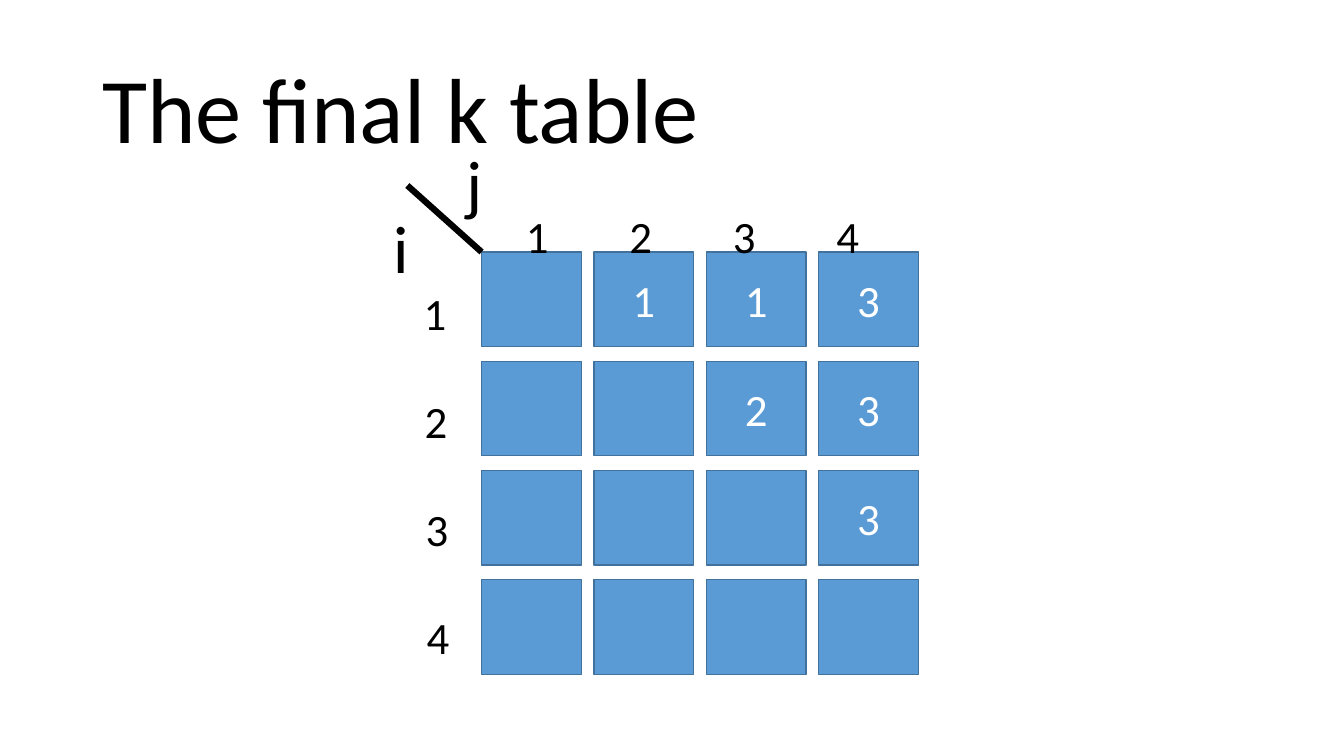
import pptx
import pptx.dml.color
import pptx.enum.shapes
import pptx.enum.text
import pptx.util
from lxml import etree

Pt = pptx.util.Pt
RGB = pptx.dml.color.RGBColor.from_string
ALIGN = pptx.enum.text.PP_ALIGN
ANCHOR = pptx.enum.text.MSO_ANCHOR

THEME = {
    "font": "Calibri",
    "ink": RGB("000000"),
    "cell": RGB("5B9BD5"),
    "edge": RGB("42719B"),
    "cell_text": RGB("FFFFFF"),
    "title": Pt(66),
    "axis": Pt(48),
    "number": Pt(32),
}

prs = pptx.Presentation()
prs.slide_width, prs.slide_height = Pt(960), Pt(540)
s = prs.slides.add_slide(prs.slide_layouts[6])


def write(sp, text, size, color):
    """Put one line of text in a shape and return its paragraph."""
    tf = sp.text_frame
    tf.word_wrap = True
    p = tf.paragraphs[0]
    p.text = text
    p.font.name, p.font.size = THEME["font"], size
    p.font.color.rgb = color
    return p


def add_label(text, x, y, w, h, size):
    """Add a text box in the ink colour."""
    sp = s.shapes.add_textbox(Pt(x), Pt(y), Pt(w), Pt(h))
    return sp, write(sp, text, size, THEME["ink"])


# Title
sp, p = add_label("The final k table", 66, 28.75, 828, 104.4, THEME["title"])
sp.text_frame.vertical_anchor = ANCHOR.MIDDLE
p.line_spacing = 0.9

# Grid of k values
k_table = [
    ["", "1", "1", "3"],
    ["", "", "2", "3"],
    ["", "", "", "3"],
    ["", "", "", ""],
]
LEFT, TOP = 344, 180
STEP_X, STEP_Y = 80.25, 78.05
for row, values in enumerate(k_table):
    for col, value in enumerate(values):
        sp = s.shapes.add_shape(
            pptx.enum.shapes.MSO_SHAPE.RECTANGLE,
            Pt(LEFT + col * STEP_X), Pt(TOP + row * STEP_Y), Pt(71.3), Pt(67.5))
        sp.shadow.inherit = False
        sp.fill.solid()
        sp.fill.fore_color.rgb = THEME["cell"]
        sp.line.color.rgb = THEME["edge"]
        sp.line.width = Pt(1)
        if value:
            p = write(sp, value, THEME["number"], THEME["cell_text"])
            p.alignment = ALIGN.CENTER
            sp.text_frame.vertical_anchor = ANCHOR.MIDDLE

# Corner line between the i and j axes
line = s.shapes.add_connector(
    pptx.enum.shapes.MSO_CONNECTOR.STRAIGHT, Pt(LEFT), Pt(TOP), Pt(291), Pt(132.5))
line.line.color.rgb = THEME["ink"]
line.line.width = Pt(4.5)
etree.SubElement(line.element.spPr, pptx.oxml.ns.qn("a:effectLst"))

# Row and column numbers
for n in range(4):
    add_label(str(n + 1), 295.6 + n * 0.7, 200.2 + n * 77.3, 21.6, 46, THEME["number"])
    add_label(str(n + 1), 368.6 + n * 73.9, 145.4, 21.6, 46, THEME["number"])

# Axis names
for name, x, y in [("i", 274.3, 144), ("j", 326.2, 97.2)]:
    add_label(name, x, y, 26, 65.4, THEME["axis"])

prs.save("out.pptx")
